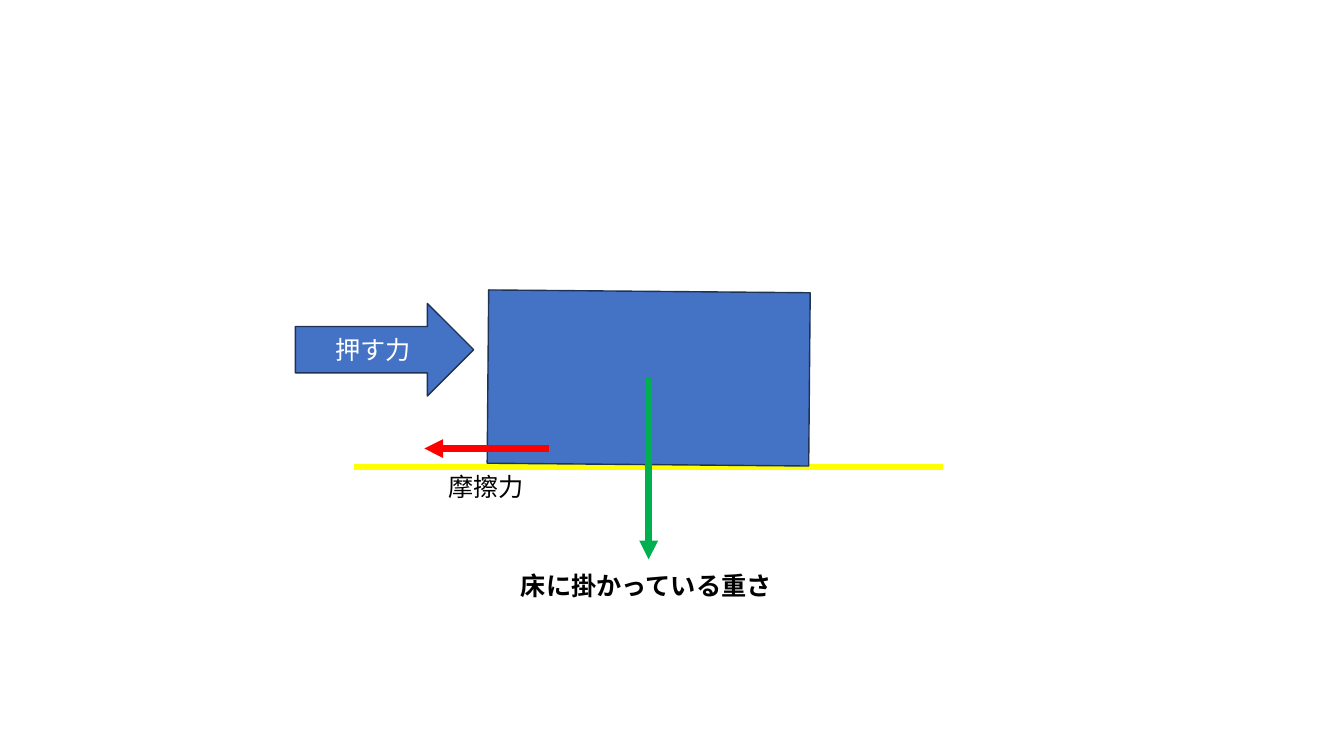
from lxml import etree
from pptx import Presentation
from pptx.dml.color import RGBColor
from pptx.enum import shapes, text
from pptx.oxml import ns
from pptx.util import Pt

COLORS = {
    "block": "4472C4",
    "outline": "1E3256",
    "floor": "FFFF00",
    "weight": "00B050",
    "friction": "FF0000",
    "ink": "000000",
    "paper": "FFFFFF",
}
FONT = "Noto Sans CJK JP"
LABEL_FRAME = {"word_wrap": False, "auto_size": text.MSO_AUTO_SIZE.SHAPE_TO_FIT_TEXT}
PUSH_FRAME = {"word_wrap": True, "vertical_anchor": text.MSO_ANCHOR.MIDDLE}


def apply_format(target, values):
    """Set each attribute named in values on target."""
    for attribute, value in values.items():
        setattr(target, attribute, value)


def color(name):
    """Return the named colour."""
    return RGBColor.from_string(COLORS[name])


def write(frame, wording, ink, frame_format, bold=False, align=None):
    """Write one formatted line of text into a text frame."""
    apply_format(frame, frame_format)
    paragraph = frame.paragraphs[0]
    paragraph.alignment = align
    run = paragraph.add_run()
    run.text = wording
    apply_format(run.font, {"name": FONT, "size": Pt(18), "bold": bold})
    run.font.color.rgb = color(ink)
    east_asian = etree.SubElement(run.font._element, ns.qn("a:ea"))
    east_asian.set("typeface", FONT)


def add_solid(slide, kind, left, top, width, height):
    """Add an outlined solid in the block colour."""
    solid = slide.shapes.add_shape(kind, Pt(left), Pt(top), Pt(width), Pt(height))
    solid.shadow.inherit = False
    solid.fill.solid()
    solid.fill.fore_color.rgb = color("block")
    solid.line.color.rgb = color("outline")
    solid.line.width = Pt(1)
    return solid


def add_stroke(slide, start, end, name, arrow=False):
    """Add a thick straight line, with an arrowhead at its end if asked."""
    stroke = slide.shapes.add_connector(
        shapes.MSO_CONNECTOR.STRAIGHT, *(Pt(value) for value in (*start, *end))
    )
    stroke.line.color.rgb = color(name)
    stroke.line.width = Pt(4.5)
    if arrow:
        head = etree.SubElement(stroke.line._get_or_add_ln(), ns.qn("a:tailEnd"))
        head.set("type", "triangle")
    etree.SubElement(stroke._element.spPr, ns.qn("a:effectLst"))


def add_label(slide, left, top, width, wording, bold=False):
    """Add a one-line label."""
    label = slide.shapes.add_textbox(Pt(left), Pt(top), Pt(width), Pt(28.8))
    write(label.text_frame, wording, "ink", LABEL_FRAME, bold)


def add_force_diagram(slide, left, top, width, height):
    """Draw the block on the floor and its three forces inside the given box."""
    floor = top + 125.3
    block_left = left + 137.5
    block_width, block_height = 229.7, 123.8
    center = block_left + block_width / 2

    add_stroke(slide, (left + 41.7, floor), (left + width, floor), "floor")
    block = add_solid(
        slide, shapes.MSO_SHAPE.RECTANGLE, block_left, top, block_width, block_height
    )
    block.rotation = 0.5

    weight_width = 196.6
    add_label(slide, center - weight_width / 2, top + height - 28.8, weight_width,
              "床に掛かっている重さ", bold=True)
    add_stroke(slide, (center, top + block_height / 2), (center, top + 191.5),
               "weight", arrow=True)

    friction = floor - 13
    add_stroke(slide, (left + 181.4, friction), (left + 92.1, friction),
               "friction", arrow=True)

    push = add_solid(
        slide, shapes.MSO_SHAPE.RIGHT_ARROW, left, top + 8.6, 127.4, 66.2
    )
    write(push.text_frame, "押す力", "paper", PUSH_FRAME, align=text.PP_ALIGN.CENTER)
    add_label(slide, left + 102.2, floor, 69.1, "摩擦力")


def main():
    """Build and save the slide."""
    deck = Presentation()
    apply_format(deck, {"slide_width": Pt(960), "slide_height": Pt(540)})
    slide = deck.slides.add_slide(deck.slide_layouts[6])
    slide.background.fill.solid()
    slide.background.fill.fore_color.rgb = color("paper")
    add_force_diagram(slide, 211, 208.1, 462.9, 224.6)
    deck.save("out.pptx")


if __name__ == "__main__":
    main()
